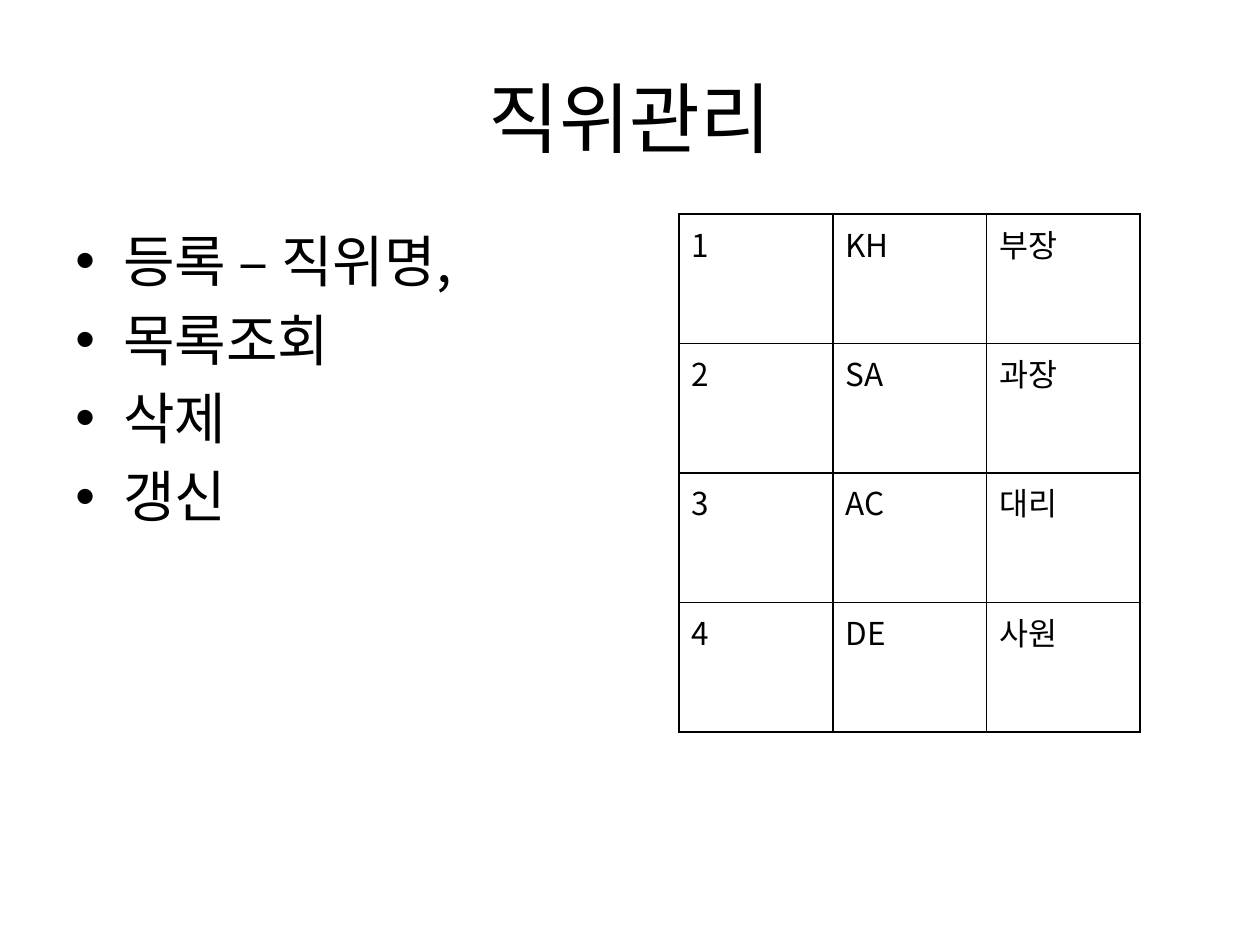
from lxml import etree
from pptx import Presentation
from pptx.dml.color import RGBColor
from pptx.enum.text import MSO_ANCHOR, PP_ALIGN
from pptx.oxml.ns import qn
from pptx.util import Emu, Inches, Pt

CENTER, LEFT = PP_ALIGN.CENTER, PP_ALIGN.LEFT
TOP, MIDDLE = MSO_ANCHOR.TOP, MSO_ANCHOR.MIDDLE
BLACK = RGBColor(0, 0, 0)
FONT = "Noto Sans CJK KR"
WIDTH, HEIGHT = Inches(10), Inches(7.5)
COLS, ROWS = 20, 15  # half-inch grid

TASKS = ["등록 – 직위명, ", "목록조회", "삭제", "갱신"]
POSITIONS = [
    ("1", "KH", "부장"),
    ("2", "SA", "과장"),
    ("3", "AC", "대리"),
    ("4", "DE", "사원"),
]


class Deck:
    """Holds the text style and the current slide."""

    def __init__(self):
        """Start a presentation with one title-only slide."""
        self.prs = Presentation()
        self.prs.slide_width, self.prs.slide_height = WIDTH, HEIGHT
        self.slide = self.prs.slides.add_slide(self.prs.slide_layouts[5])

    def box(self, col, row, cols, rows):
        """Turn grid columns and rows into left, top, width, height."""
        w, h = WIDTH / COLS, HEIGHT / ROWS
        return [Emu(round(v)) for v in (col * w, row * h, cols * w, rows * h)]

    def add_lines(self, tf, lines, size, align=LEFT, **formats):
        """Add one paragraph for each line and return the paragraphs."""
        tf.word_wrap = True
        for i, line in enumerate(lines):
            p = tf.paragraphs[0] if i == 0 else tf.add_paragraph()
            for name, value in dict(formats, alignment=align).items():
                setattr(p, name, value)
            r = p.add_run()
            r.text = line
            for name, value in dict(name=FONT, size=Pt(size)).items():
                setattr(r.font, name, value)
            r.font.color.rgb = BLACK
            latin = r._r.get_or_add_rPr().find(qn("a:latin"))
            latin.addnext(latin.makeelement(qn("a:ea"), {"typeface": FONT}))
        return tf.paragraphs

    def title(self, text, *grid):
        """Place and fill the title placeholder."""
        sp = self.slide.shapes.title
        sp.left, sp.top, sp.width, sp.height = self.box(*grid)
        sp.text_frame.vertical_anchor = MIDDLE
        self.add_lines(sp.text_frame, [text], 44, CENTER)

    def bullets(self, lines, *grid, size=32, indent=0.38):
        """Add a bulleted list with hanging indents."""
        tf = self.slide.shapes.add_textbox(*self.box(*grid)).text_frame
        tf.vertical_anchor = TOP
        for p in self.add_lines(tf, lines, size, space_before=Pt(size * 0.2)):
            pPr = p._p.get_or_add_pPr()
            pPr.set("marL", str(Inches(indent)))
            pPr.set("indent", str(-Inches(indent)))
            etree.SubElement(pPr, qn("a:buFont"), typeface="Arial")
            etree.SubElement(pPr, qn("a:buChar"), char="•")

    def border(self, cell, width=1):
        """Draw a line on all four sides of a cell."""
        tcPr = cell._tc.get_or_add_tcPr()
        for i, side in enumerate("LRTB"):
            ln = tcPr.makeelement(qn(f"a:ln{side}"), {"w": str(Pt(width))})
            fill = etree.SubElement(ln, qn("a:solidFill"))
            etree.SubElement(fill, qn("a:srgbClr"), val=str(BLACK))
            tcPr.insert(i, ln)

    def table(self, data, *grid):
        """Add a plain ruled table with equal columns and rows."""
        shape = self.slide.shapes.add_table(len(data), len(data[0]), *self.box(*grid))
        table = shape.table
        table.first_row = table.horz_banding = False
        for r, values in enumerate(data):
            for c, value in enumerate(values):
                cell = table.cell(r, c)
                cell.fill.background()
                self.add_lines(cell.text_frame, [value], 18)
                self.border(cell)


deck = Deck()
deck.title("직위관리", 1, 0.6, 18, 2.5)
deck.bullets(TASKS, 1, 3.5, 18, 9.9)
deck.table(POSITIONS, 10.78, 3.4, 7.32, 8.22)
deck.prs.save("out.pptx")
